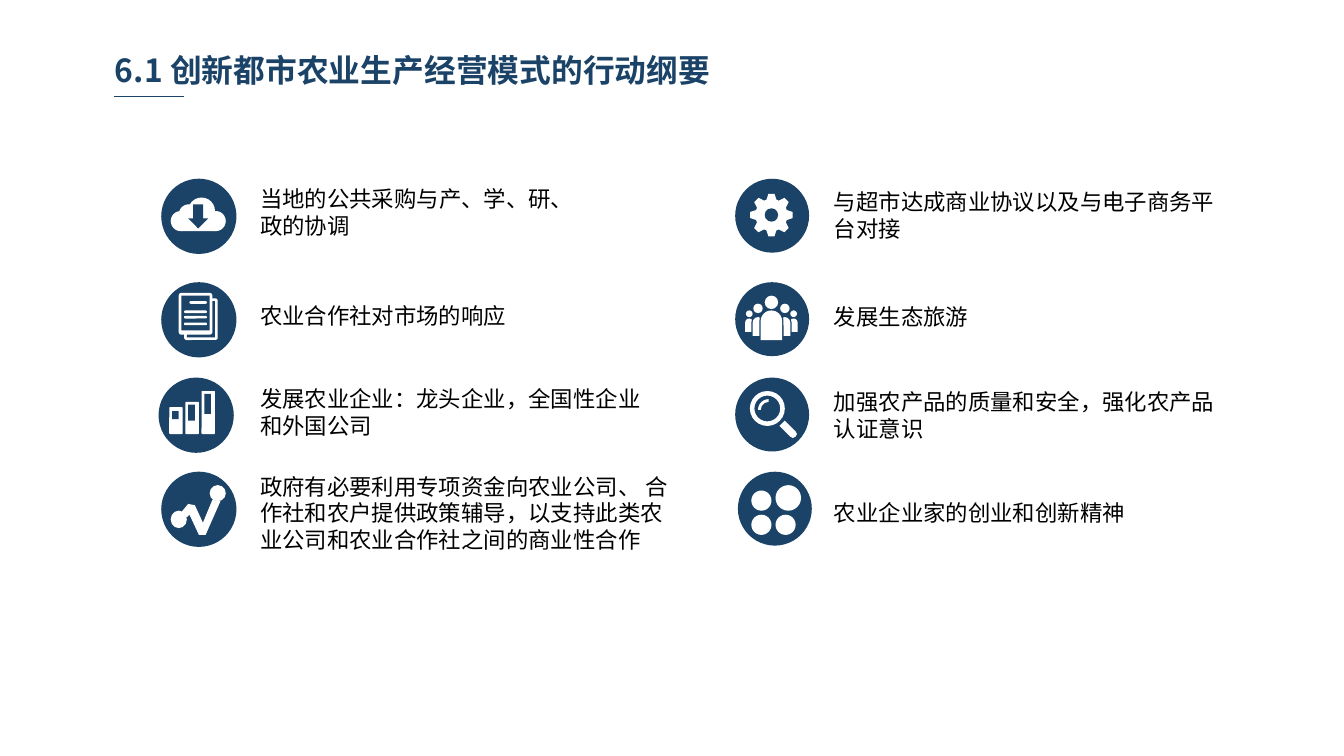
"""Build the slide on the action outline for urban farming business models."""
from math import cos, radians, sin

from lxml import etree
from pptx import Presentation
from pptx.dml.color import RGBColor
from pptx.enum.shapes import MSO_CONNECTOR, MSO_SHAPE
from pptx.enum.text import MSO_ANCHOR, MSO_AUTO_SIZE, PP_ALIGN
from pptx.oxml.ns import qn
from pptx.util import Inches, Pt

NAVY = RGBColor(0x1B, 0x43, 0x67)
WHITE = RGBColor(0xFF, 0xFF, 0xFF)
BLACK = RGBColor(0x00, 0x00, 0x00)
FONT = "Noto Sans CJK SC"
OVAL = MSO_SHAPE.OVAL
RECTANGLE = MSO_SHAPE.RECTANGLE
ROUNDED = MSO_SHAPE.ROUNDED_RECTANGLE
BODY = MSO_SHAPE.ROUND_2_SAME_RECTANGLE
DONUT = MSO_SHAPE.DONUT
BLOCK_ARC = MSO_SHAPE.BLOCK_ARC
DOWN_ARROW = MSO_SHAPE.DOWN_ARROW
STRAIGHT = MSO_CONNECTOR.STRAIGHT
LEFT = PP_ALIGN.LEFT
TOP = MSO_ANCHOR.TOP
FIT = MSO_AUTO_SIZE.SHAPE_TO_FIT_TEXT

DISCS = (0.56, 0.55)
ICON_COLUMNS = (1.2, 5.47)
TEXT_COLUMNS = (1.86, 6.13)
ROWS = (1.33, 2.1, 2.81, 3.51)


def paint(shape, colour):
    """Give a shape a plain fill without outline or shadow."""
    shape.shadow.inherit = False
    shape.fill.solid()
    shape.fill.fore_color.rgb = colour
    shape.line.fill.background()


def write(box, text, size, colour, bold, wrap):
    """Format a text frame and add its single run."""
    frame = box.text_frame
    frame.word_wrap = wrap
    frame.auto_size = FIT
    frame.vertical_anchor = TOP
    frame.margin_left = frame.margin_right = Pt(5.4)
    frame.margin_top = frame.margin_bottom = Pt(2.7)
    para = frame.paragraphs[0]
    para.alignment = LEFT
    para.line_spacing = Pt(size * 1.2)
    span = para.add_run()
    span.text = text
    span.font.size = Pt(size)
    span.font.bold = bold
    span.font.color.rgb = colour
    span.font.name = FONT
    etree.SubElement(span.font._element, qn("a:ea")).set("typeface", FONT)


cloud = [
    (OVAL, WHITE, 0.07, 0.24, 0.15, 0.15), (OVAL, WHITE, 0.13, 0.19, 0.15, 0.15),
    (OVAL, WHITE, 0.2, 0.14, 0.2, 0.2), (OVAL, WHITE, 0.33, 0.24, 0.15, 0.15),
    (RECTANGLE, WHITE, 0.15, 0.27, 0.25, 0.12), (DOWN_ARROW, NAVY, 0.2, 0.19, 0.15, 0.18),
]
papers = [
    (ROUNDED, WHITE, 0.17, 0.12, 0.25, 0.31, 0.07), (RECTANGLE, NAVY, 0.19, 0.14, 0.21, 0.27),
    (ROUNDED, WHITE, 0.13, 0.08, 0.25, 0.31, 0.07), (RECTANGLE, NAVY, 0.15, 0.1, 0.21, 0.26),
    (ROUNDED, WHITE, 0.21, 0.14, 0.13, 0.02, 0.5),
]
papers += [(ROUNDED, WHITE, 0.17, top, 0.17, 0.02, 0.5) for top in (0.21, 0.25, 0.3)]
bars = []
for left, top, window_top, window in ((0.08, 0.22, 0.25, 0.06), (0.2, 0.18, 0.2, 0.12), (0.32, 0.1, 0.12, 0.15)):
    bars.append((ROUNDED, WHITE, left, top, 0.1, 0.42 - top, 0.07))
    bars.append((RECTANGLE, NAVY, left + 0.02, window_top, 0.05, window))
trend = [(OVAL, WHITE, 0.36, 0.1, 0.12, 0.12), (OVAL, WHITE, 0.07, 0.29, 0.12, 0.13)]
gear = [(OVAL, NAVY, 0.22, 0.22, 0.1, 0.1)]
people = []
for offset, head, head_top, body, body_top, bottom in (
    (0.165, 0.05, 0.21, 0.08, 0.26, 0.37), (0.1, 0.07, 0.16, 0.1, 0.25, 0.4), (0, 0.1, 0.1, 0.18, 0.2, 0.43)
):
    for centre in sorted({0.27 - offset, 0.27 + offset}):
        people.append((OVAL, WHITE, centre - head / 2, head_top, head, head))
        people.append((BODY, NAVY, centre - body / 2, body_top, body, bottom - body_top, 0.5))
        people.append((BODY, WHITE, centre - body / 2 + 0.01, body_top + 0.01, body - 0.02, bottom - body_top - 0.01, 0.5))
lens = [(DONUT, WHITE, 0.11, 0.1, 0.26, 0.26, 0.13), (BLOCK_ARC, WHITE, 0.17, 0.16, 0.16, 0.16, 108, 162, 0.13)]
dots = [(OVAL, WHITE, left, top, 0.15, 0.15) for left, top in ((0.1, 0.14), (0.1, 0.32), (0.28, 0.32))]
dots.append((OVAL, WHITE, 0.28, 0.1, 0.19, 0.19))

teeth = []
for tooth in range(8):
    for turn, radius in ((-18, 0.12), (-8, 0.16), (8, 0.16), (18, 0.12)):
        angle = radians(tooth * 45 + turn)
        teeth.append((0.27 + radius * cos(angle), 0.27 + radius * sin(angle)))
zigzag = [(0.38, 0.21), (0.31, 0.38), (0.25, 0.25), (0.2, 0.24), (0.15, 0.3),
          (0.19, 0.34), (0.21, 0.32), (0.28, 0.47), (0.33, 0.47), (0.44, 0.22)]
handle = [(0.37, 0.32), (0.45, 0.4), (0.46, 0.42), (0.45, 0.44), (0.43, 0.45), (0.41, 0.44), (0.33, 0.36)]

items = [
    (0, 0, 0, cloud, None, 1.34, 2.41, 2, "当地的公共采购与产、学、研、政的协调"),
    (0, 1, 0, papers, None, 2.21, 2, 1, "农业合作社对市场的响应"),
    (0, 2, -0.02, bars, None, 2.83, 3.03, 2, "发展农业企业：龙头企业，全国性企业和外国公司"),
    (0, 3, 0, trend, zigzag, 3.48, 3.23, 3,
     "政府有必要利用专项资金向农业公司、 合作社和农户提供政策辅导，以支持此类农业公司和农业合作社之间的商业性合作"),
    (1, 0, 0, gear, teeth, 1.36, 3.01, 2, "与超市达成商业协议以及与电子商务平台对接"),
    (1, 1, 0, people, None, 2.22, 1.16, 1, "发展生态旅游"),
    (1, 2, 0, lens, handle, 2.85, 3.01, 2, "加强农产品的质量和安全，强化农产品认证意识"),
    (1, 3, 0.02, dots, None, 3.68, 2.34, 1, "农业企业家的创业和创新精神"),
]

deck = Presentation()
deck.slide_width = Inches(10)
deck.slide_height = deck.slide_width * 9 // 16
page = deck.slides.add_slide(deck.slide_layouts[5])

title = page.shapes.title
title.left, title.top, title.width, title.height = map(Inches, (0.78, 0.34, 4.87, 0.36))
write(title, "6.1 创新都市农业生产经营模式的行动纲要", 17, NAVY, True, True)

rule = page.shapes.add_connector(STRAIGHT, *map(Inches, (0.85, 0.72, 1.37, 0.72)))
rule.line.color.rgb = NAVY
rule.line.width = Pt(0.75)
etree.SubElement(rule._element.spPr, qn("a:effectLst"))

for column, row, shift, pieces, outline, text_top, width, lines, text in items:
    icon_left, icon_top = ICON_COLUMNS[column] + shift, ROWS[row]
    icon = page.shapes.add_group_shape().shapes
    disc = DISCS[column]
    paint(icon.add_shape(OVAL, *map(Inches, (icon_left, icon_top, disc, disc))), NAVY)
    if outline:
        points = [(Inches(icon_left + x), Inches(icon_top + y)) for x, y in outline]
        builder = icon.build_freeform(*points[0])
        builder.add_line_segments(points[1:], close=True)
        paint(builder.convert_to_shape(), WHITE)
    for kind, colour, left, top, piece_width, piece_height, *adjustments in pieces:
        place = (icon_left + left, icon_top + top, piece_width, piece_height)
        piece = icon.add_shape(kind, *map(Inches, place))
        paint(piece, colour)
        for index, value in enumerate(adjustments):
            piece.adjustments[index] = value
    place = (TEXT_COLUMNS[column], text_top, width, 0.08 + 0.2 * lines)
    box = page.shapes.add_textbox(*map(Inches, place))
    write(box, text, 12, BLACK, False, lines > 1)

deck.save("out.pptx")
